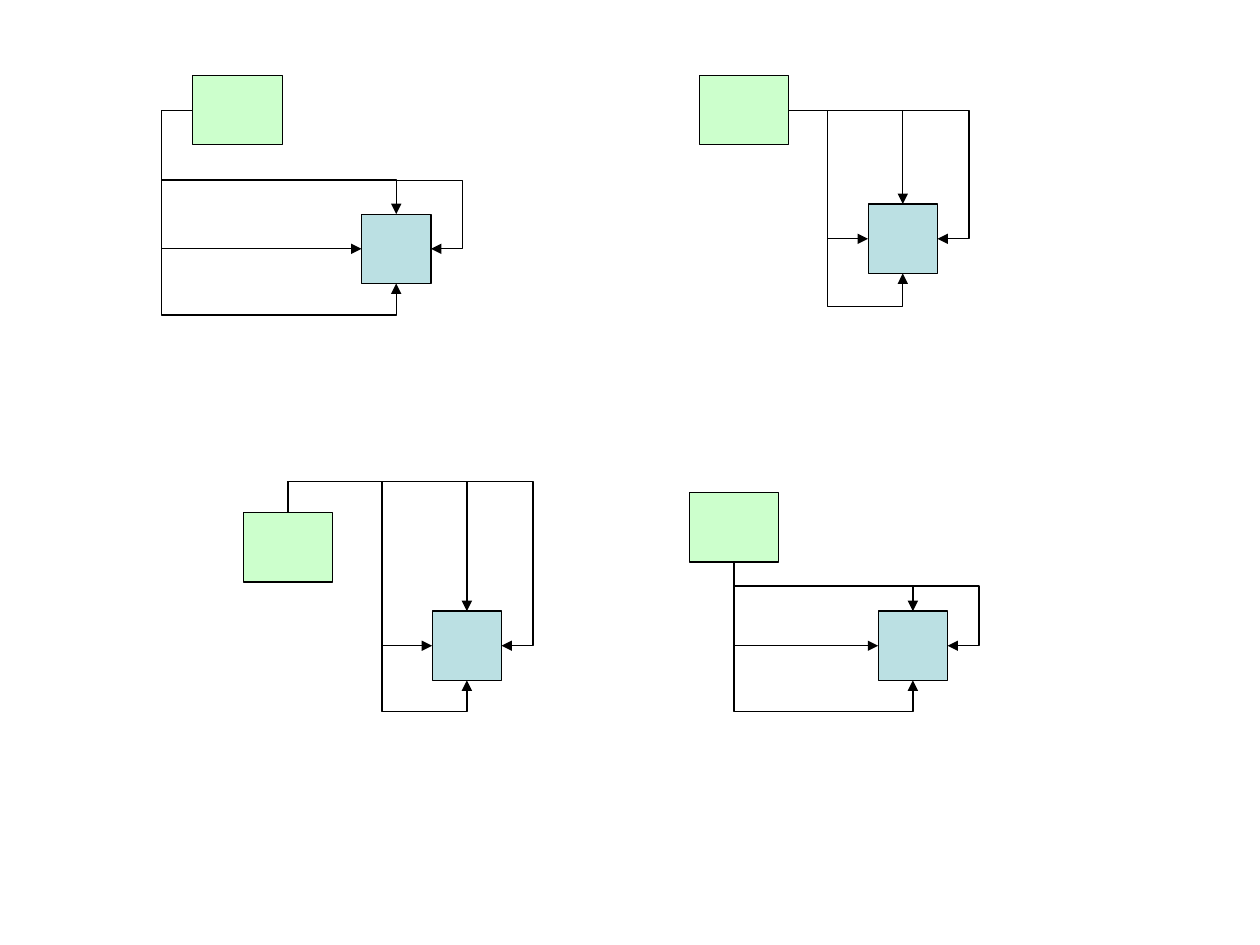
import pptx
import pptx.dml.color
import pptx.enum.shapes
import pptx.oxml.ns
import pptx.util
from lxml import etree

qn = pptx.oxml.ns.qn
INCH = 914400

# Rectangle connection sites
SITES = {"top": 0, "left": 1, "bottom": 2, "right": 3}
# Rotation and flips of a connector that leaves a box on the given side
ORIENTATIONS = {
    "left": (180, ("flipH", "flipV")),
    "right": (0, ()),
    "top": (270, ("flipH",)),
    "bottom": (270, ("flipH",)),
}
SOURCE_SIZE = (0.71, 0.55)
TARGET_SIZE = (0.55, 0.55)

# Each route lists the lanes it turns on, alternating between x and y;
# the first is an x lane for left and right exits, a y lane otherwise.
DIAGRAMS = [
    {"source": (1.53, 0.6), "target": (2.87, 1.7), "exit": "left",
     "routes": {"left": [1.28], "top": [1.28, 1.43],
                "right": [1.28, 1.43, 3.67], "bottom": [1.28, 2.5]}},
    {"source": (1.93, 4.07), "target": (3.43, 4.85), "exit": "top",
     "routes": {"left": [3.82, 3.03], "top": [3.82],
                "right": [3.82, 4.23], "bottom": [3.82, 3.03, 5.65]}},
    {"source": (5.55, 0.6), "target": (6.89, 1.62), "exit": "right",
     "routes": {"left": [6.57], "top": [],
                "right": [7.69], "bottom": [6.57, 2.43]}},
    {"source": (5.47, 3.91), "target": (6.97, 4.85), "exit": "bottom",
     "routes": {"left": [], "top": [4.65],
                "right": [4.65, 7.77], "bottom": [5.65]}},
]


def color(hex_string):
    return pptx.dml.color.RGBColor.from_string(hex_string)


def style_line(line):
    line.color.rgb = color("000000")
    line.width = pptx.util.Pt(0.75)


def add_box(slide, position, size, fill):
    shape = slide.shapes.add_shape(
        pptx.enum.shapes.MSO_SHAPE.RECTANGLE,
        *(pptx.util.Inches(length) for length in position + size))
    shape.shadow.inherit = False
    shape.fill.solid()
    shape.fill.fore_color.rgb = color(fill)
    style_line(shape.line)
    return shape


def add_arrow(slide, source, target, exit_side, entry_side, lanes):
    connector = slide.shapes.add_connector(
        pptx.enum.shapes.MSO_CONNECTOR.ELBOW, 0, 0, 0, 0)
    connector.begin_connect(source, SITES[exit_side])
    connector.end_connect(target, SITES[entry_side])
    start = (connector.begin_x, connector.begin_y)
    span = (connector.end_x - start[0], connector.end_y - start[1])

    # Turn the frame about its centre when the route starts vertically
    first_axis = 0 if exit_side in ("left", "right") else 1
    width, height = span[first_axis], span[1 - first_axis]
    connector.left = start[0] + (span[0] - width) // 2
    connector.top = start[1] + (span[1] - height) // 2
    connector.width, connector.height = width, height
    rotation, flips = ORIENTATIONS[exit_side]
    properties = connector._element.spPr
    transform = properties.find(qn("a:xfrm"))
    transform.set("rot", str(rotation * 60000))
    for flip in flips:
        transform.set(flip, "1")

    # Each lane becomes a share of the span along its axis
    geometry = properties.find(qn("a:prstGeom"))
    geometry.set("prst", f"bentConnector{len(lanes) + 2}")
    guides = geometry.find(qn("a:avLst"))
    for index, lane in enumerate(lanes):
        axis = (first_axis + index) % 2
        share = (lane * INCH - start[axis]) / span[axis]
        etree.SubElement(guides, qn("a:gd"), name=f"adj{index + 1}",
                         fmla=f"val {round(share * 100000)}")

    # Line, arrowhead, no shadow
    style_line(connector.line)
    etree.SubElement(properties.find(qn("a:ln")), qn("a:tailEnd"),
                     type="triangle")
    etree.SubElement(properties, qn("a:effectLst"))


def add_diagram(slide, diagram):
    target = add_box(slide, diagram["target"], TARGET_SIZE, "BBE0E3")
    source = add_box(slide, diagram["source"], SOURCE_SIZE, "CCFFCC")
    for entry_side, lanes in diagram["routes"].items():
        add_arrow(slide, source, target, diagram["exit"], entry_side, lanes)


def main():
    presentation = pptx.Presentation()
    presentation.slide_width = pptx.util.Inches(10)
    presentation.slide_height = pptx.util.Inches(7.5)
    slide = presentation.slides.add_slide(presentation.slide_layouts[6])
    for diagram in DIAGRAMS:
        add_diagram(slide, diagram)
    presentation.save("out.pptx")


if __name__ == "__main__":
    main()
